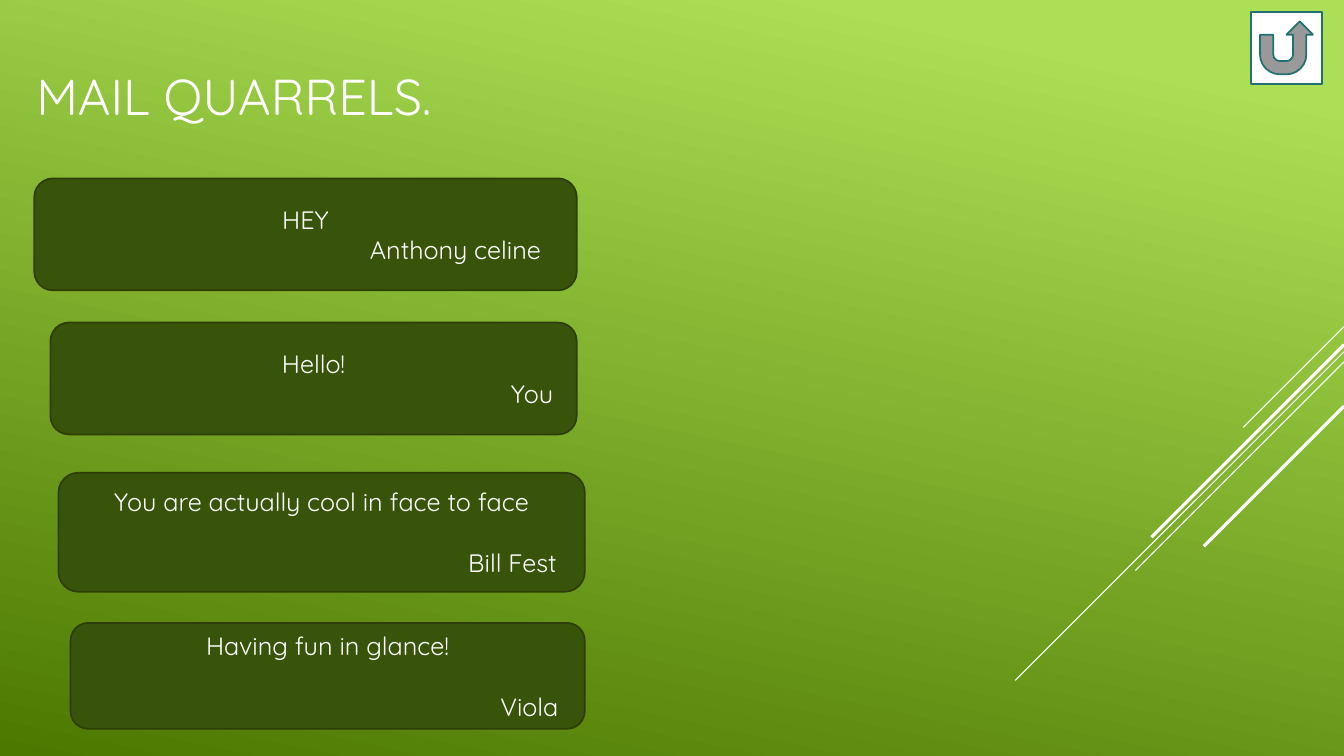
from pptx import Presentation
from pptx.dml.color import RGBColor
from pptx.enum.shapes import MSO_CONNECTOR, MSO_SHAPE
from pptx.enum.text import MSO_ANCHOR, MSO_AUTO_SIZE, PP_ALIGN
from pptx.oxml.ns import qn
from pptx.util import Inches, Pt

COLORS = {
    "light_green": "ACDF55",
    "deep_green": "4C7800",
    "bubble": "38540A",
    "bubble_line": "2E3E07",
    "button_line": "237073",
    "white": "FFFFFF",
}
FONT = "Quicksand"
SLIDE_WIDTH = 13.33

# Start x, start y and end x of the diagonals, and their width in points
DIAGONALS = [
    (SLIDE_WIDTH, 3.24, 12.33, 0.75),
    (SLIDE_WIDTH, 3.49, 10.07, 0.75),
    (SLIDE_WIDTH, 3.59, 11.26, 0.75),
    (SLIDE_WIDTH, 3.42, 11.42, 2.25),
    (SLIDE_WIDTH, 4.03, 11.94, 2.25),
]

# Message, sender, box, side inset and points between the two lines
MESSAGES = [
    ("HEY", "Anthony celine", (0.34, 1.77, 5.38, 1.11), 0.3, 0),
    ("Hello!", "You", (0.5, 3.2, 5.22, 1.11), 0.18, 0),
    ("You are actually cool in face to face", "Bill Fest",
     (0.58, 4.69, 5.22, 1.18), 0.22, 22),
    ("Having fun in glance!", "Viola", (0.7, 6.18, 5.1, 1.05), 0.21, 22),
]


def color(name):
    return RGBColor.from_string(COLORS[name])


def apply_format(target, values):
    for name, value in values.items():
        setattr(target, name, value)


def write_line(para, text, size, align, space_before=0):
    apply_format(para, {"alignment": align, "space_before": Pt(space_before)})
    span = para.add_run()
    span.text = text
    apply_format(span.font, {"name": FONT, "size": Pt(size)})
    span.font.color.rgb = color("white")


def paint_background(page):
    fill = page.background.fill
    fill.gradient()
    fill.gradient_angle = 258
    stops = [("light_green", 0.1), ("deep_green", 1.0)]
    for stop, (name, position) in zip(fill.gradient_stops, stops):
        stop.color.rgb = color(name)
        stop.position = position


def add_diagonal(page, left, top, end, width):
    line = page.shapes.add_connector(
        MSO_CONNECTOR.STRAIGHT, Inches(left), Inches(top),
        Inches(end), Inches(top + left - end))
    line.line.color.rgb = color("white")
    line.line.width = Pt(width)
    properties = line._element.spPr
    properties.append(properties.makeelement(qn("a:effectLst"), {}))


def add_title(page, text):
    title = page.shapes.title
    apply_format(title, {"left": Inches(0.26), "top": Inches(0.12),
                         "width": Inches(9.33), "height": Inches(1.65)})
    apply_format(title.text_frame, {"word_wrap": True,
                                    "auto_size": MSO_AUTO_SIZE.NONE,
                                    "vertical_anchor": MSO_ANCHOR.MIDDLE})
    write_line(title.text_frame.paragraphs[0], text, 36, PP_ALIGN.LEFT)


def add_box(page, kind, bounds, fill, line):
    box = page.shapes.add_shape(kind, *map(Inches, bounds))
    box.shadow.inherit = False
    box.fill.solid()
    box.fill.fore_color.rgb = color(fill)
    box.line.color.rgb = color(line)
    box.line.width = Pt(1.25)
    return box


def add_message(page, message, sender, bounds, inset, gap):
    box = add_box(page, MSO_SHAPE.ROUNDED_RECTANGLE, bounds,
                  "bubble", "bubble_line")
    frame = box.text_frame
    apply_format(frame, {"word_wrap": True,
                         "vertical_anchor": MSO_ANCHOR.MIDDLE,
                         "margin_left": Inches(inset),
                         "margin_right": Inches(inset)})
    write_line(frame.paragraphs[0], message, 18, PP_ALIGN.CENTER)
    write_line(frame.add_paragraph(), sender, 18, PP_ALIGN.RIGHT, gap)


def main():
    deck = Presentation()
    apply_format(deck, {"slide_width": Inches(SLIDE_WIDTH),
                        "slide_height": Inches(7.5)})
    page = deck.slides.add_slide(deck.slide_layouts.get_by_name("Title Only"))

    # Backdrop
    paint_background(page)
    for diagonal in DIAGONALS:
        add_diagonal(page, *diagonal)

    # Title and messages
    add_title(page, "MAIL QUARRELS.")
    for message in MESSAGES:
        add_message(page, *message)

    # Return button
    add_box(page, MSO_SHAPE.ACTION_BUTTON_RETURN, (12.41, 0.12, 0.7, 0.71),
            "white", "button_line")

    deck.save("out.pptx")


if __name__ == "__main__":
    main()
